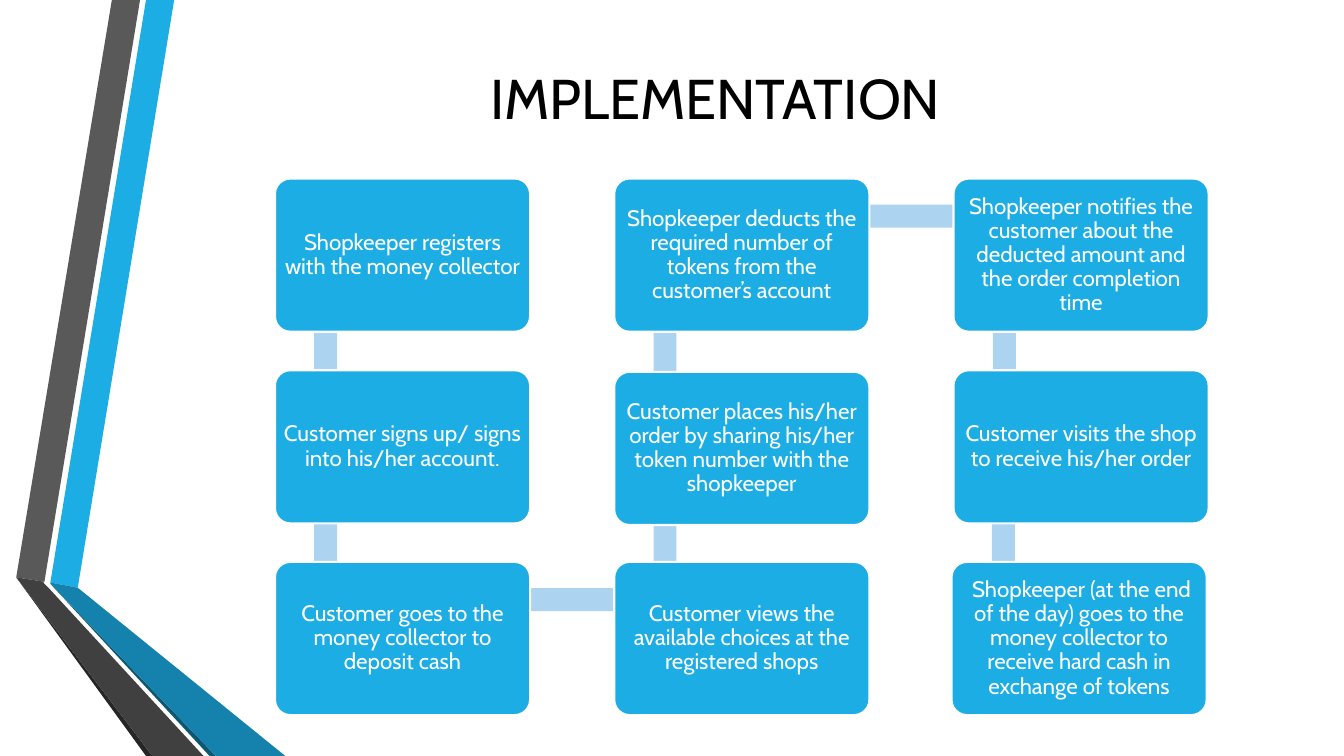
from itertools import pairwise

from pptx import Presentation
from pptx.dml.color import RGBColor
from pptx.enum.shapes import MSO_SHAPE
from pptx.enum.text import MSO_ANCHOR, PP_ALIGN
from pptx.util import Cm, Pt

RECTANGLE = MSO_SHAPE.RECTANGLE
ROUNDED = MSO_SHAPE.ROUNDED_RECTANGLE
MIDDLE = MSO_ANCHOR.MIDDLE
CENTER = PP_ALIGN.CENTER

TITLE_ONLY = 5
FONT = "Cabin"
BLUE, PALE_BLUE, WHITE, BLACK = "1CADE4", "ACD3EF", "FFFFFF", "000000"

STEP_WIDTH, STEP_HEIGHT = 6.43, 3.86
GRID_LEFT, GRID_TOP = 6.93, 4.5
COLUMN_PITCH, ROW_PITCH = 8.55, 4.83
BAR_THICKNESS = 0.58

RIBBON = [
    ("1CADE4", [(1.27, 14.68), (1.96, 14.81), (4.39, 0), (3.68, 0)]),
    ("595959", [(3.53, 0), (2.82, 0), (0.41, 14.55), (1.12, 14.66)]),
    ("262626", [(0.41, 14.55), (3.68, 19.05), (3.84, 19.05)]),
    ("0E5772", [(1.27, 14.71), (5.28, 19.05), (5.44, 19.05)]),
    ("1482AC", [(1.27, 14.68), (1.27, 14.71), (5.44, 19.05), (7.19, 19.05), (1.96, 14.81)]),
    ("404040", [(5.13, 19.05), (1.22, 14.81), (1.09, 14.68), (1.12, 14.66),
                (0.41, 14.55), (3.84, 19.05)]),
]

STEPS = [
    (0, 0, "Shopkeeper registers with the money collector"),
    (0, 1, "Customer signs up/ signs into his/her account."),
    (0, 2, "Customer goes to the money collector to deposit cash"),
    (1, 2, "Customer views the available choices at the registered shops"),
    (1, 1, "Customer places his/her order by sharing his/her token number with the shopkeeper"),
    (1, 0, "Shopkeeper deducts the required number of tokens from the customer’s account"),
    (2, 0, "Shopkeeper notifies the customer about the deducted amount and the order completion time"),
    (2, 1, "Customer visits the shop to receive his/her order"),
    (2, 2, " Shopkeeper (at the end of the day) goes to the money collector "
           "to receive hard cash in exchange of tokens"),
]
NUDGES = {(1, 1): (0, 0.04), (2, 2): (-0.05, 0)}


def color(hex_value):
    return RGBColor.from_string(hex_value)


def apply(target, values):
    for key, value in values.items():
        setattr(target, key, value)


def paint(shape, fill):
    shape.shadow.inherit = False
    shape.fill.solid()
    shape.fill.fore_color.rgb = color(fill)
    shape.line.fill.background()


def write(frame, text, size, text_color, frame_format, paragraph_format):
    apply(frame, {"word_wrap": True, "vertical_anchor": MIDDLE, **frame_format})
    paragraph = frame.paragraphs[0]
    apply(paragraph, {"alignment": CENTER, **paragraph_format})
    run = paragraph.add_run()
    run.text = text
    apply(run.font, {"name": FONT, "size": Pt(size)})
    run.font.color.rgb = color(text_color)


def add_ribbon_facet(slide, fill, corners):
    start, *rest = [(Cm(x), Cm(y)) for x, y in corners]
    outline = slide.shapes.build_freeform(*start)
    outline.add_line_segments(rest, close=True)
    paint(outline.convert_to_shape(), fill)


def add_title(slide, text):
    title = slide.shapes.title
    apply(title, {"left": Cm(4.11), "top": Cm(0), "width": Cm(27.84), "height": Cm(4.88)})
    write(title.text_frame, text, 40, BLACK, {}, {})


def step_corner(column, row):
    dx, dy = NUDGES.get((column, row), (0, 0))
    return GRID_LEFT + column * COLUMN_PITCH + dx, GRID_TOP + row * ROW_PITCH + dy


def add_link(slide, first, second):
    (x1, y1), (x2, y2) = sorted([step_corner(*first), step_corner(*second)])
    if first[0] == second[0]:
        box = ((x1 + x2) / 2 + 0.99, min(y1, y2) + 0.96, BAR_THICKNESS, abs(y2 - y1))
    else:
        box = (x1 + 1.3, y1 + 0.66, x2 - x1, BAR_THICKNESS)
    paint(slide.shapes.add_shape(RECTANGLE, *map(Cm, box)), PALE_BLUE)


def add_step(slide, column, row, text):
    box = (*step_corner(column, row), STEP_WIDTH, STEP_HEIGHT)
    step = slide.shapes.add_shape(ROUNDED, *map(Cm, box))
    step.adjustments[0] = 0.1
    paint(step, BLUE)
    step.line.color.rgb = color(WHITE)
    step.line.width = Pt(1.5)
    sides = ("left", "right", "top", "bottom")
    margins = {f"margin_{side}": Cm(0.06) for side in sides}
    write(step.text_frame, text, 16, WHITE, margins, {"line_spacing": 0.9})


def main():
    deck = Presentation()
    apply(deck, {"slide_width": Cm(33.87), "slide_height": Cm(19.05)})
    slide = deck.slides.add_slide(deck.slide_layouts[TITLE_ONLY])
    add_title(slide, "IMPLEMENTATION")
    for fill, corners in RIBBON:
        add_ribbon_facet(slide, fill, corners)
    for first, second in pairwise(STEPS):
        add_link(slide, first[:2], second[:2])
    for column, row, text in STEPS:
        add_step(slide, column, row, text)
    deck.save("out.pptx")


if __name__ == "__main__":
    main()
